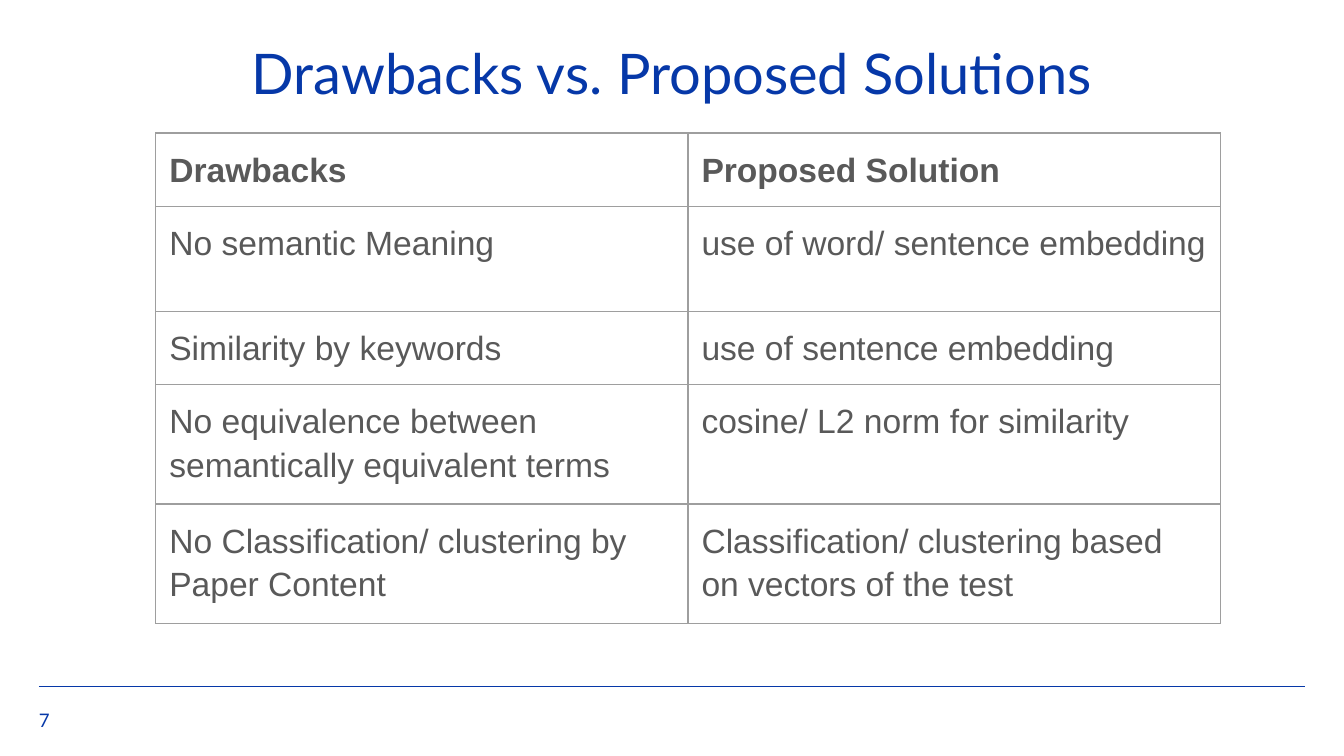
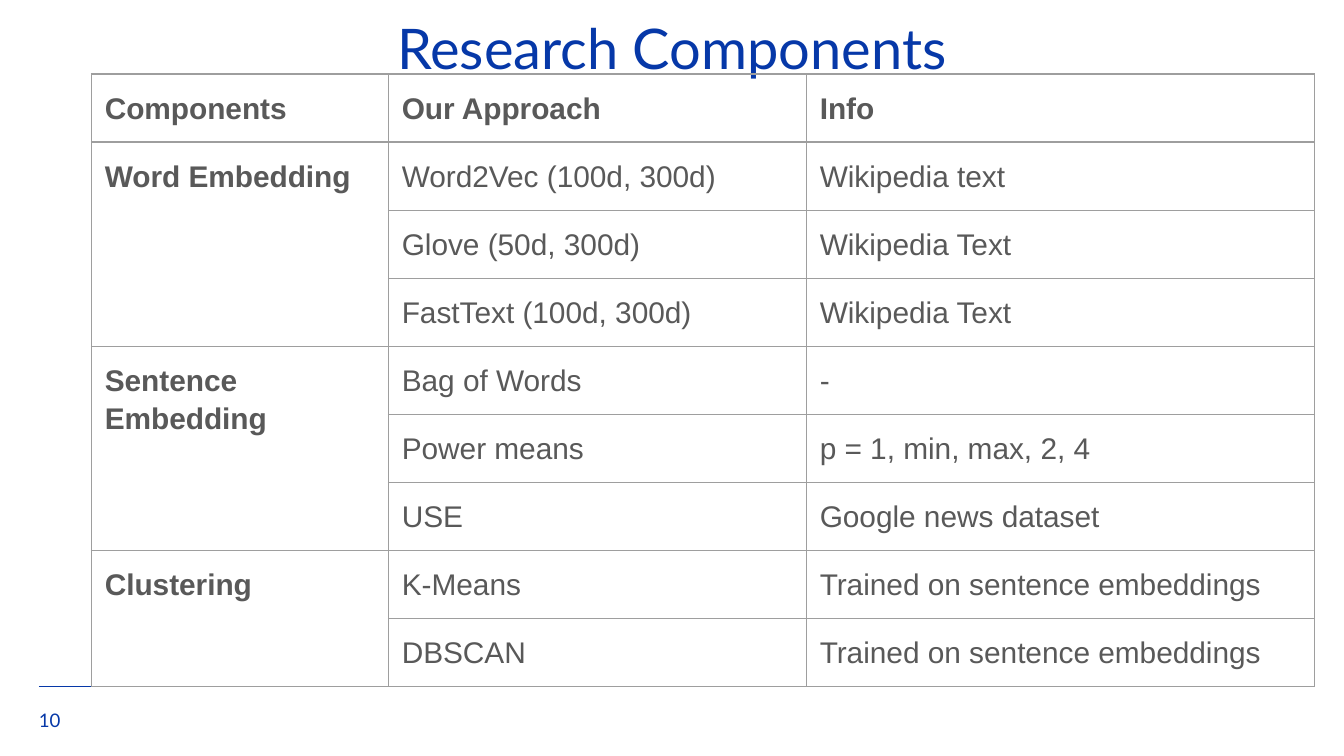
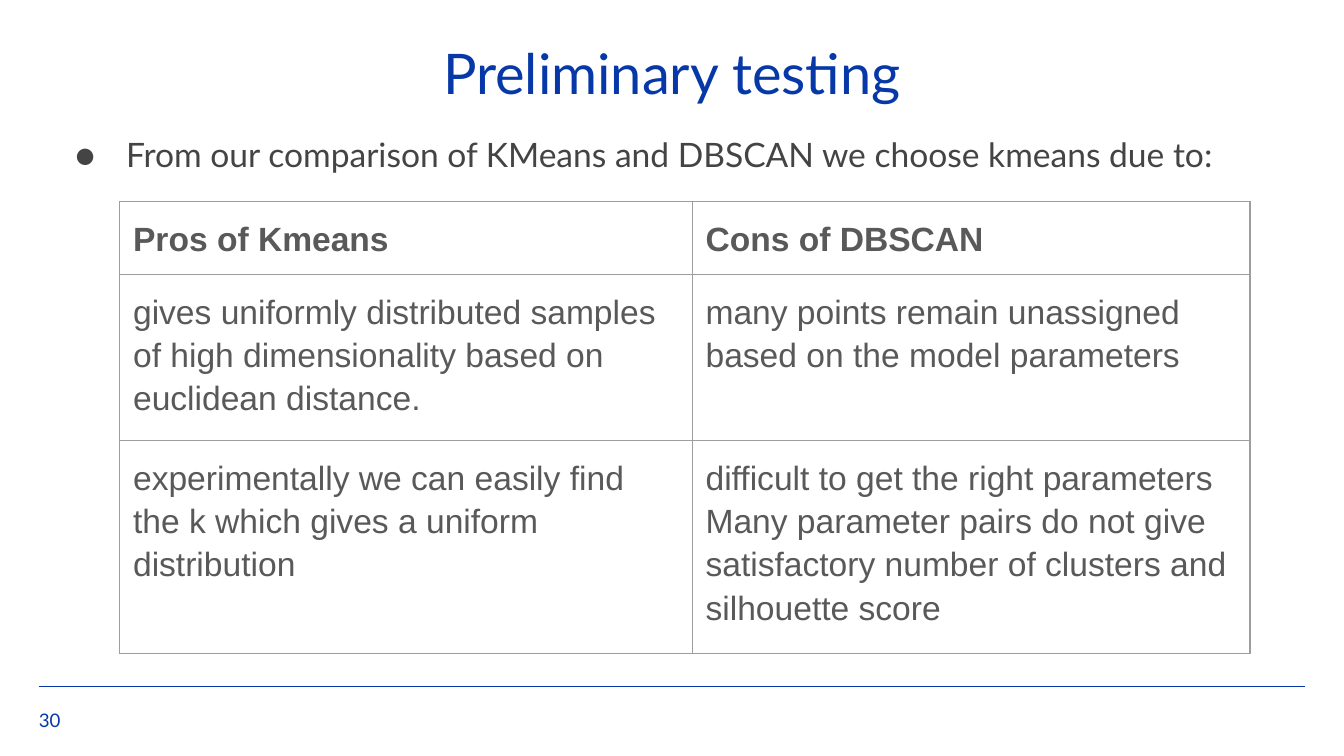
from lxml import etree
from pptx import Presentation
from pptx.dml.color import RGBColor
from pptx.enum.shapes import MSO_CONNECTOR
from pptx.enum.text import MSO_ANCHOR as Anchor, MSO_AUTO_SIZE as AutoSize, PP_ALIGN as Align
from pptx.oxml.ns import qn
from pptx.util import Inches, Pt

BLUE = RGBColor(0x06, 0x38, 0xA8)
BODY_GRAY = RGBColor(0x44, 0x44, 0x44)
CELL_GRAY = RGBColor(0x59, 0x59, 0x59)
BORDER_GRAY = RGBColor(0x9E, 0x9E, 0x9E)
HEADING_FONT, TABLE_FONT = "Lato", "Arial"
SLIDE_WIDTH = Inches(10)
SLIDE_HEIGHT = SLIDE_WIDTH * 9 // 16
INSET = Inches(0.1)
TITLE_ONLY = 5


def add_run(paragraph, text, size, color, font_name=HEADING_FONT, bold=False):
    run = paragraph.add_run()
    run.text = text
    run.font.name = font_name
    run.font.size = Pt(size)
    run.font.bold = bold
    run.font.color.rgb = color


def set_insets(holder):
    """Give a text frame or a table cell the shared margins."""
    holder.margin_left = holder.margin_right = INSET
    holder.margin_top = holder.margin_bottom = INSET


def add_text_box(slide, left, top, width, height, anchor=Anchor.TOP):
    box = slide.shapes.add_textbox(Inches(left), Inches(top), Inches(width), Inches(height))
    frame = box.text_frame
    frame.word_wrap = True
    frame.vertical_anchor = anchor
    set_insets(frame)
    return frame.paragraphs[0]


def add_title(slide, text, top):
    title = slide.shapes.title
    title.left, title.top = Inches(0.34), Inches(top)
    title.width, title.height = Inches(9.32), Inches(0.71)
    frame = title.text_frame
    frame.word_wrap = True
    frame.auto_size = AutoSize.SHAPE_TO_FIT_TEXT
    frame.vertical_anchor = Anchor.TOP
    set_insets(frame)
    frame.paragraphs[0].alignment = Align.CENTER
    add_run(frame.paragraphs[0], text, 30, BLUE)


def add_footer(slide, page):
    rule = slide.shapes.add_connector(
        MSO_CONNECTOR.STRAIGHT, Inches(0.29), Inches(5.11), Inches(9.71), Inches(5.11))
    rule.line.color.rgb = BLUE
    rule.line.width = Pt(0.75)
    etree.SubElement(rule._element.spPr, qn("a:effectLst"))
    page_number = add_text_box(slide, 0.19, 5.17, 0.49, 0.37, Anchor.MIDDLE)
    add_run(page_number, str(page), 10, BLUE)


def add_slide(prs, title, page, title_top=0.19):
    slide = prs.slides.add_slide(prs.slide_layouts[TITLE_ONLY])
    add_title(slide, title, title_top)
    add_footer(slide, page)
    return slide


def add_bullet(slide, text, left, top, width, height):
    paragraph = add_text_box(slide, left, top, width, height)
    props = paragraph._p.get_or_add_pPr()
    props.set("marL", str(Inches(0.5)))
    props.set("indent", str(Inches(-0.38)))
    bullet_color = etree.SubElement(props, qn("a:buClr"))
    etree.SubElement(bullet_color, qn("a:srgbClr"), val=str(BODY_GRAY))
    etree.SubElement(props, qn("a:buFont"), typeface=HEADING_FONT)
    etree.SubElement(props, qn("a:buChar"), char="●")
    add_run(paragraph, text, 18, BODY_GRAY)


def style_cell(cell):
    set_insets(cell)
    cell.vertical_anchor = Anchor.TOP
    props = cell._tc.get_or_add_tcPr()
    for side in ("lnL", "lnR", "lnT", "lnB"):
        border = etree.SubElement(props, qn(f"a:{side}"), w=str(Pt(0.75)))
        fill = etree.SubElement(border, qn("a:solidFill"))
        etree.SubElement(fill, qn("a:srgbClr"), val=str(BORDER_GRAY))
    cell.fill.background()


def add_grid(slide, left, top, col_widths, row_heights, rows, size=18, bold_first_col=False):
    """Draw a bordered table; a None entry joins its cell to the one above."""
    table = slide.shapes.add_table(
        len(rows), len(col_widths), Inches(left), Inches(top),
        Inches(sum(col_widths)), Inches(sum(row_heights))).table
    table.first_row = table.horz_banding = False
    for column, width in zip(table.columns, col_widths):
        column.width = Inches(width)
    for row, height in zip(table.rows, row_heights):
        row.height = Inches(height)

    span_starts = {}
    span_ends = {}
    for r, entries in enumerate(rows):
        for c, entry in enumerate(entries):
            cell = table.cell(r, c)
            style_cell(cell)
            if entry is None:
                span_ends[span_starts[c]] = cell
                continue
            span_starts[c] = (r, c)
            bold = r == 0 or (bold_first_col and c == 0)
            for i, text in enumerate(entry.split("\n")):
                frame = cell.text_frame
                paragraph = frame.add_paragraph() if i else frame.paragraphs[0]
                paragraph.line_spacing = 1.15
                add_run(paragraph, text, size, CELL_GRAY, TABLE_FONT, bold)
    for start, end in span_ends.items():
        table.cell(*start).merge(end)


def add_drawbacks_slide(prs):
    slide = add_slide(prs, "Drawbacks vs. Proposed Solutions", 7)
    add_grid(slide, 1.16, 0.99, [3.96, 3.96], [0.5, 0.78, 0.5, 0.78, 0.78], [
        ("Drawbacks", "Proposed Solution"),
        ("No semantic Meaning", "use of word/ sentence embedding"),
        ("Similarity by keywords", "use of sentence embedding"),
        ("No equivalence between semantically equivalent terms",
         "cosine/ L2 norm for similarity"),
        ("No Classification/ clustering by Paper Content",
         "Classification/ clustering based on vectors of the test"),
    ])


def add_components_slide(prs):
    slide = add_slide(prs, "Research Components", 10, title_top=0)
    add_grid(slide, 0.68, 0.55, [2.21, 3.11, 3.78], [0.48] * 8 + [0.43], [
        ("Components", "Our Approach", "Info"),
        ("Word Embedding", "Word2Vec (100d, 300d)", "Wikipedia text"),
        (None, "Glove (50d, 300d)", "Wikipedia Text"),
        (None, "FastText (100d, 300d)", "Wikipedia Text"),
        ("Sentence Embedding", "Bag of Words", "-"),
        (None, "Power means", "p = 1, min, max, 2, 4"),
        (None, "USE", "Google news dataset"),
        ("Clustering", "K-Means", "Trained on sentence embeddings"),
        (None, "DBSCAN", "Trained on sentence embeddings"),
    ], size=16, bold_first_col=True)


def add_testing_slide(prs):
    slide = add_slide(prs, "Preliminary testing", 30)
    add_bullet(slide, "From our comparison of KMeans and DBSCAN we choose kmeans due to:",
               0.34, 0.9, 8.95, 3.08)
    add_grid(slide, 0.89, 1.5, [4.26, 4.15], [0.11, 1.18, 1.35], [
        ("Pros of Kmeans", "Cons of DBSCAN"),
        ("gives uniformly distributed samples of high dimensionality based on "
         "euclidean distance.",
         "many points remain unassigned based on the model parameters"),
        ("experimentally we can easily find the k which gives a uniform distribution",
         "difficult to get the right parameters\n"
         "Many parameter pairs do not give satisfactory number of clusters and "
         "silhouette score"),
    ])


def main():
    prs = Presentation()
    prs.slide_width, prs.slide_height = SLIDE_WIDTH, SLIDE_HEIGHT
    add_drawbacks_slide(prs)
    add_components_slide(prs)
    add_testing_slide(prs)
    prs.save("out.pptx")


if __name__ == "__main__":
    main()
